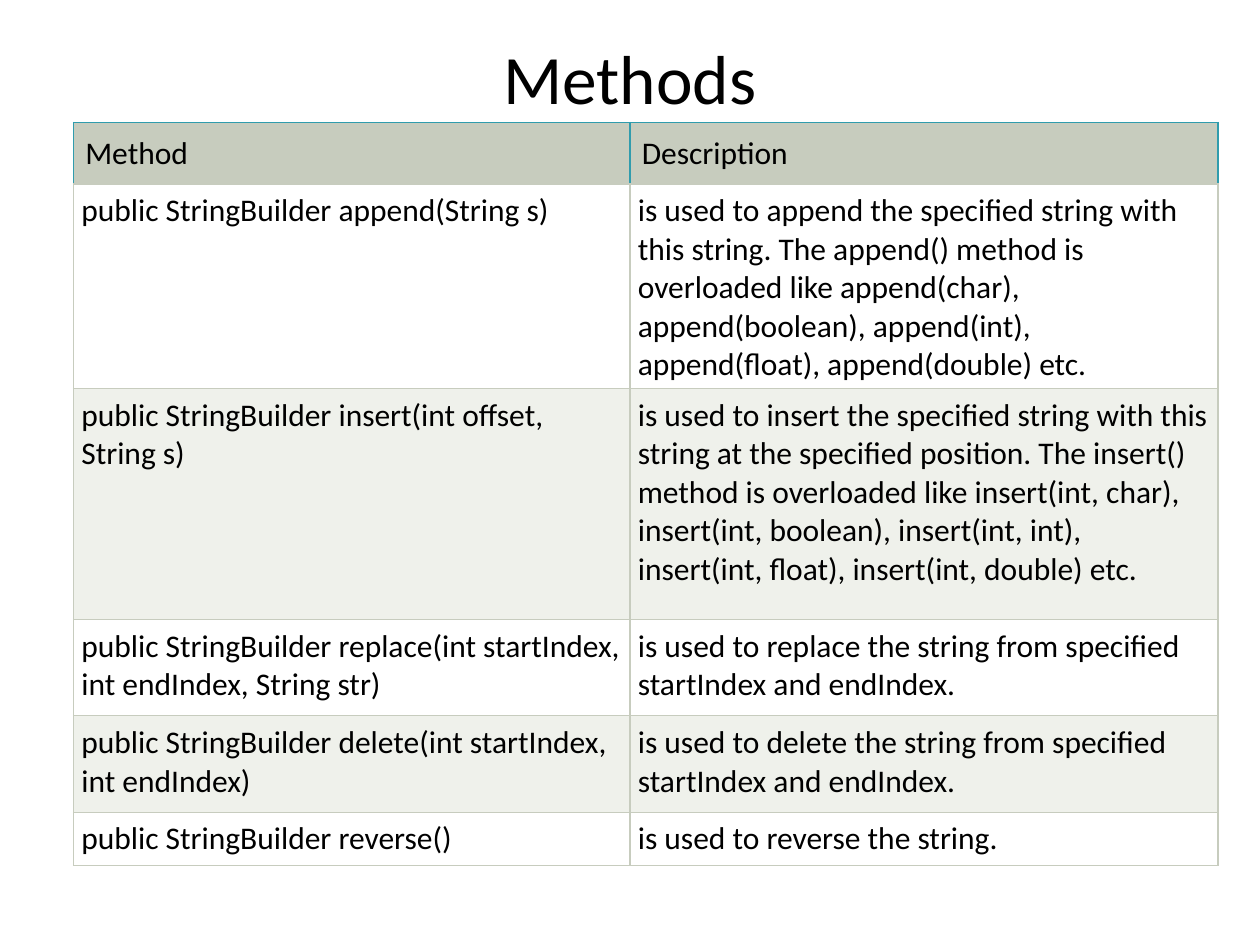
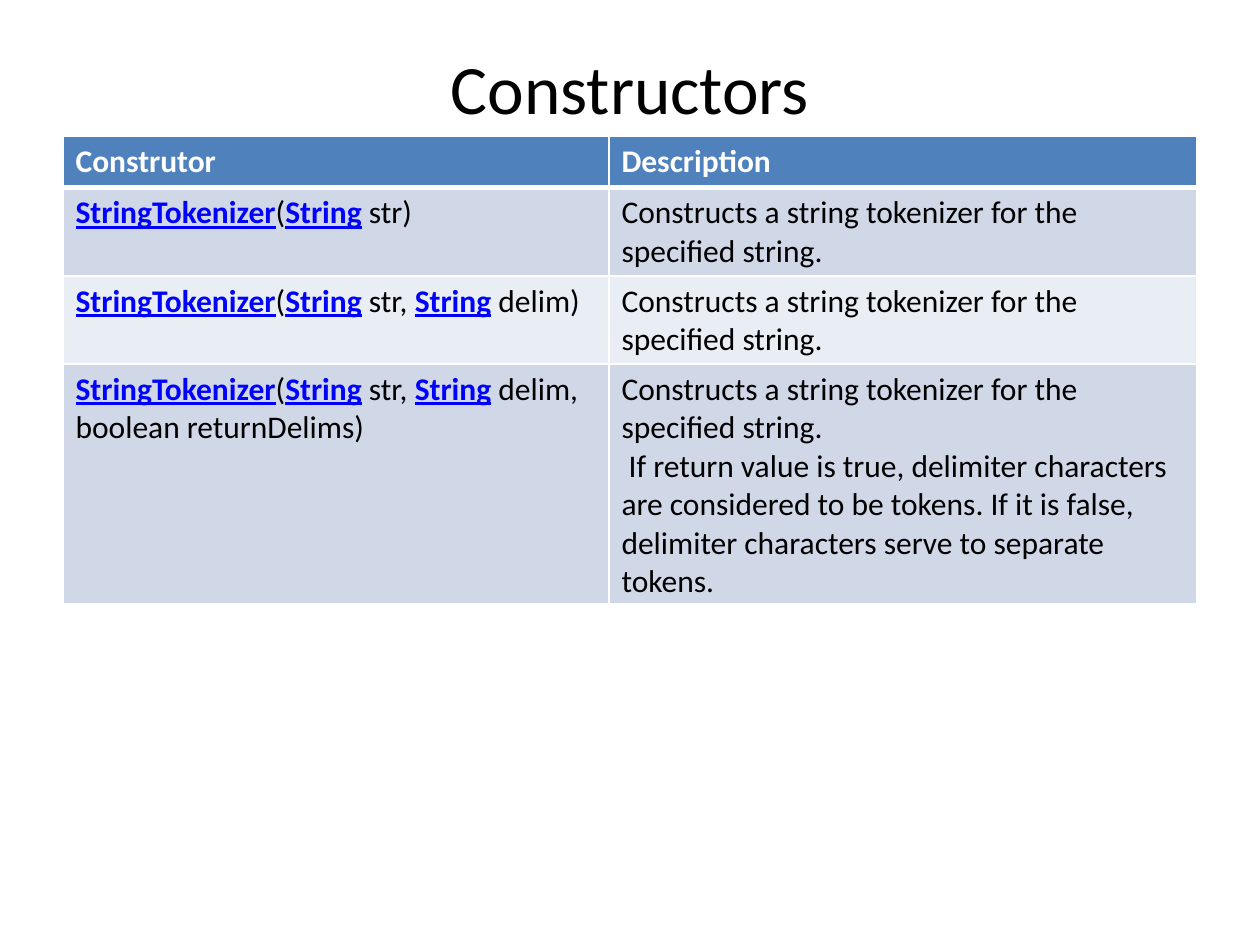
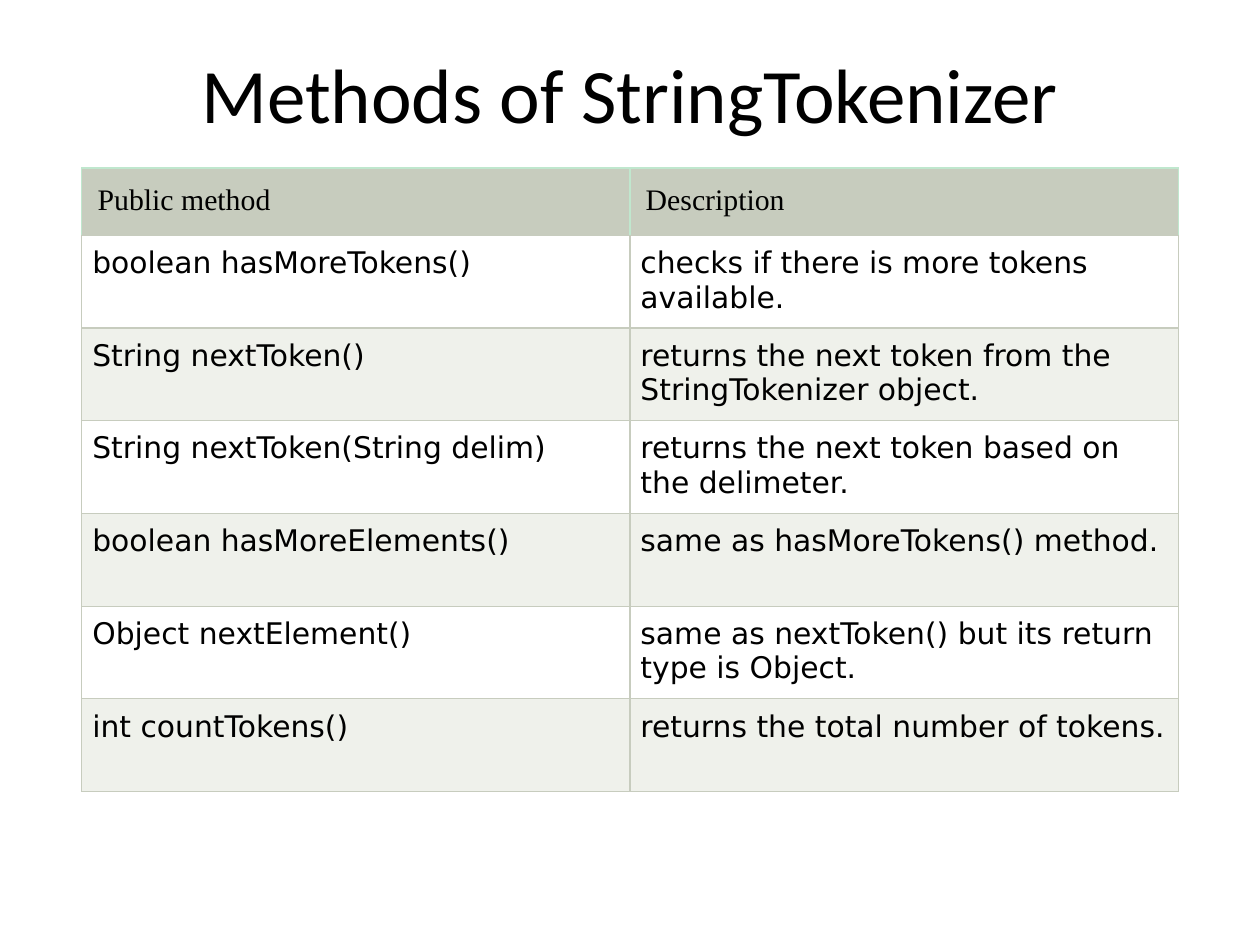
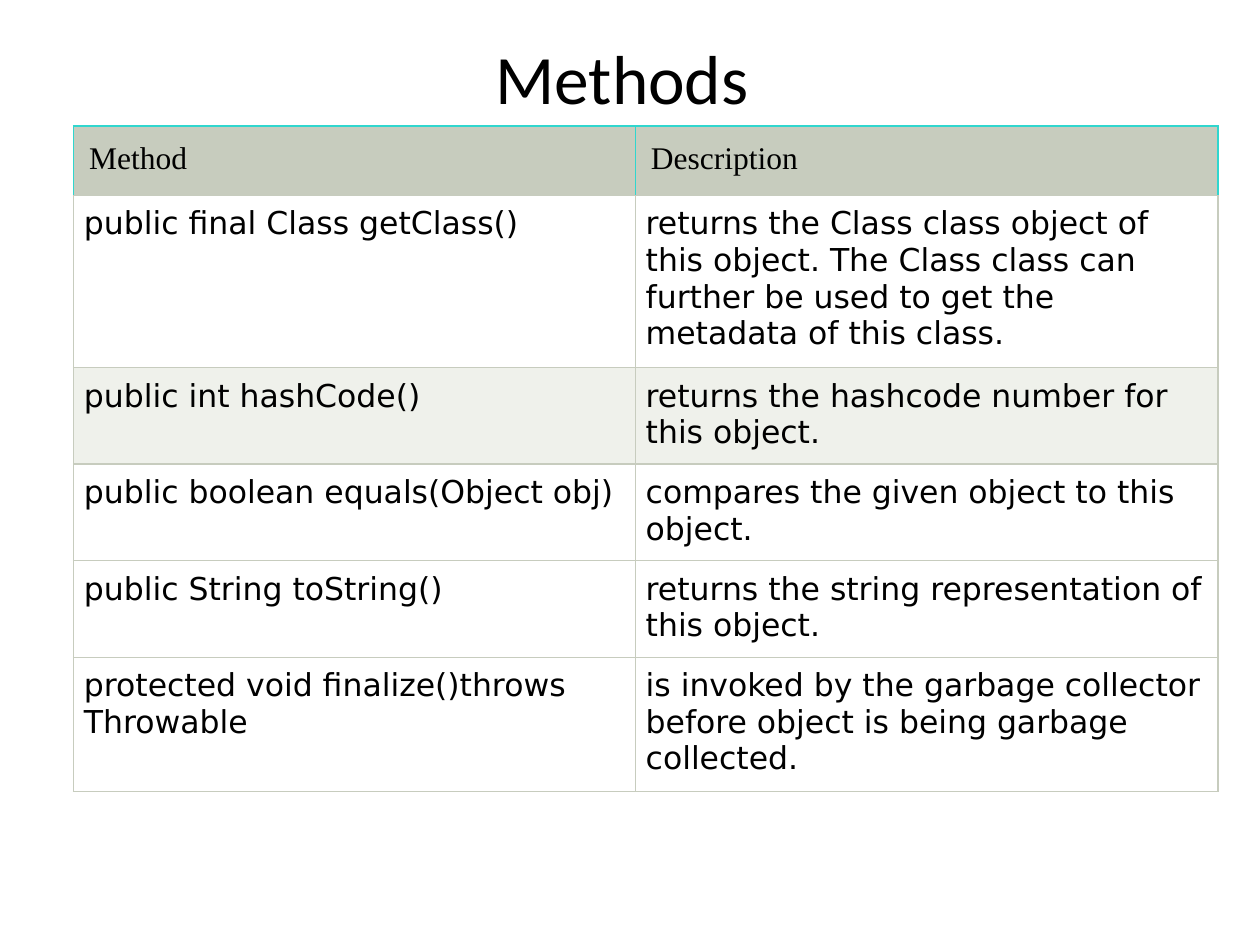
from lxml import etree
from pptx import Presentation
from pptx import util as u
from pptx.dml import color
from pptx.enum import text
from pptx.oxml import ns

BLACK, WHITE, LINK = "000000", "FFFFFF", "0000FF"
SAGE, PALE_SAGE = "C7CCBE", "EFF1EB"
BLUE, LIGHT_BLUE, PALE_BLUE = "4F81BD", "D0D8E8", "E9EDF4"
PLAIN = {"bold": False, "underline": False}
LINKED = {"bold": True, "underline": True}
MARGINS = ("margin_left", "margin_top", "margin_right", "margin_bottom")

SAGE_STYLE = {
    "header_fill": SAGE, "header_color": BLACK, "header_bold": False,
    "edge": (SAGE, 0.75), "divider": (SAGE, 0.75),
    "bands": (WHITE, PALE_SAGE), "size": 18,
    "header_font": "Times New Roman", "body_font": "DejaVu Sans",
    "header_inset": (9, 9), "body_inset": (6, 6),
}
BUILDER_STYLE = SAGE_STYLE | {
    "header_edge": ("309CAD", 0.75),
    "header_font": "Calibri", "body_font": "Calibri",
    "header_inset": (6.75, 6.75), "body_inset": (4.5, 4.5),
}
CONSTRUCTOR_STYLE = {
    "header_fill": BLUE, "header_color": WHITE, "header_bold": True,
    "edge": (WHITE, 1), "header_edge": (WHITE, 1), "divider": (WHITE, 3),
    "bands": (LIGHT_BLUE, PALE_BLUE), "size": 18,
    "header_font": "Calibri", "body_font": "Calibri",
    "header_inset": (7.2, 3.6), "body_inset": (7.2, 3.6),
}
TOKENIZER_STYLE = SAGE_STYLE | {"header_edge": ("C0E7CE", 0.75), "size": 17}
OBJECT_STYLE = SAGE_STYLE | {
    "header_edge": ("30D6CE", 0.75),
    "bands": (WHITE, PALE_SAGE, WHITE, WHITE, WHITE),
}

BUILDER_METHODS = [
    ("Method", "Description"),
    ("public StringBuilder append(String s)",
     "is used to append the specified string with this string. The append() method is "
     "overloaded like append(char), append(boolean), append(int), append(float), "
     "append(double) etc."),
    ("public StringBuilder insert(int offset, String s)",
     "is used to insert the specified string with this string at the specified position. "
     "The insert() method is overloaded like insert(int, char), insert(int, boolean), "
     "insert(int, int), insert(int, float), insert(int, double) etc."),
    ("public StringBuilder replace(int startIndex, int endIndex, String str)",
     "is used to replace the string from specified startIndex and endIndex."),
    ("public StringBuilder delete(int startIndex, int endIndex)",
     "is used to delete the string from specified startIndex and endIndex."),
    ("public StringBuilder reverse()", "is used to reverse the string."),
]
CONSTRUCTORS = [
    ("Construtor", "Description"),
    ("|StringTokenizer|(|String| str)",
     "Constructs a string tokenizer for the specified string."),
    ("|StringTokenizer|(|String| str, |String| delim)",
     "Constructs a string tokenizer for the specified string."),
    ("|StringTokenizer|(|String| str, |String| delim, boolean returnDelims)",
     "Constructs a string tokenizer for the specified string.\n"
     " If return value is true, delimiter characters are considered to be tokens. "
     "If it is false, delimiter characters serve to separate tokens."),
]
TOKENIZER_METHODS = [
    ("Public method", "Description"),
    ("boolean hasMoreTokens()", "checks if there is more tokens available."),
    ("String nextToken()", "returns the next token from the StringTokenizer object."),
    ("String nextToken(String delim)", "returns the next token based on the delimeter."),
    ("boolean hasMoreElements()", "same as hasMoreTokens() method."),
    ("Object nextElement()", "same as nextToken() but its return type is Object."),
    ("int countTokens()", "returns the total number of tokens."),
]
OBJECT_METHODS = [
    ("Method", "Description"),
    ("public final Class getClass()",
     "returns the Class class object of this object. The Class class can further be used "
     "to get the metadata of this class."),
    ("public int hashCode()", "returns the hashcode number for this object."),
    ("public boolean equals(Object obj)", "compares the given object to this object."),
    ("public String toString()", "returns the string representation of this object."),
    ("protected void finalize()throws Throwable",
     "is invoked by the garbage collector before object is being garbage collected."),
]


def set_all(target, values):
    for name, value in values.items():
        setattr(target, name, value)


def rgb(code):
    return color.RGBColor.from_string(code)


def add_span(para, words, font, size, code, **values):
    span = para.add_run()
    span.text = words
    set_all(span.font, {"name": font, "size": u.Pt(size), **values})
    span.font.color.rgb = rgb(code)


def add_title(page, words, height, size):
    box = page.shapes.add_textbox(u.Pt(36), u.Pt(21.6), u.Pt(648), u.Pt(height))
    set_all(box.text_frame, {"word_wrap": True, "vertical_anchor": text.MSO_ANCHOR.MIDDLE})
    para = box.text_frame.paragraphs[0]
    para.alignment = text.PP_ALIGN.CENTER
    add_span(para, words, "Calibri", size, BLACK)


def set_borders(cell, left, right, top, bottom):
    props = cell._tc.get_or_add_tcPr()
    for side, (code, width) in zip("LRTB", (left, right, top, bottom)):
        line = etree.SubElement(props, ns.qn(f"a:ln{side}"), w=str(int(u.Pt(width))))
        fill = etree.SubElement(line, ns.qn("a:solidFill"))
        etree.SubElement(fill, ns.qn("a:srgbClr"), val=code)


def paint(cell, code, inset):
    cell.fill.solid()
    cell.fill.fore_color.rgb = rgb(code)
    across, down = map(u.Pt, inset)
    set_all(cell, dict(zip(MARGINS, (across, down, across, down))))


def fill_header(cell, words, style):
    side = style["header_edge"]
    set_borders(cell, side, side, side, style["divider"])
    paint(cell, style["header_fill"], style["header_inset"])
    add_span(cell.text_frame.paragraphs[0], words, style["header_font"], style["size"],
             style["header_color"], bold=style["header_bold"])


def fill_body(cell, words, row, style):
    edge = style["edge"]
    set_borders(cell, edge, edge, style["divider"] if row == 1 else edge, edge)
    bands = style["bands"]
    paint(cell, bands[(row - 1) % len(bands)], style["body_inset"])
    frame = cell.text_frame
    for number, line in enumerate(words.split("\n")):
        para = frame.add_paragraph() if number else frame.paragraphs[0]
        for index, part in enumerate(line.split("|")):
            if part:
                linked = index % 2
                add_span(para, part, style["body_font"], style["size"],
                         LINK if linked else BLACK, **(LINKED if linked else PLAIN))


def add_grid(page, left, top, widths, heights, entries, style):
    grid = page.shapes.add_table(len(heights), len(widths), u.Pt(left), u.Pt(top),
                                 u.Pt(sum(widths)), u.Pt(sum(heights))).table
    grid.horz_banding = False
    for column, width in zip(grid.columns, widths):
        column.width = u.Pt(width)
    for row, (height, entry) in enumerate(zip(heights, entries)):
        grid.rows[row].height = u.Pt(height)
        for col, words in enumerate(entry):
            cell = grid.cell(row, col)
            if row:
                fill_body(cell, words, row, style)
            else:
                fill_header(cell, words, style)


def main():
    deck = Presentation()
    set_all(deck, {"slide_width": u.Pt(720), "slide_height": u.Pt(540)})
    pages = [
        (("Methods", 44.6, 39.6),
         (42, 70, (318, 336), (28, 117, 132, 55, 55, 24), BUILDER_METHODS, BUILDER_STYLE)),
        (("Constructors", 56.2, 39.6),
         (36, 78, (312, 336), (29.2,) * 4, CONSTRUCTORS, CONSTRUCTOR_STYLE)),
        (("Methods of StringTokenizer", 62.6, 44),
         (46.8, 96, (313.2, 313.2), (36,) + (53,) * 6, TOKENIZER_METHODS, TOKENIZER_STYLE)),
        (("Methods ", 44.6, 39.6),
         (42, 72, (321, 333), (37, 91.5, 51, 51, 51, 71), OBJECT_METHODS, OBJECT_STYLE)),
    ]
    for title, grid in pages:
        page = deck.slides.add_slide(deck.slide_layouts[6])
        add_title(page, *title)
        add_grid(page, *grid)
    deck.save("out.pptx")


if __name__ == "__main__":
    main()
